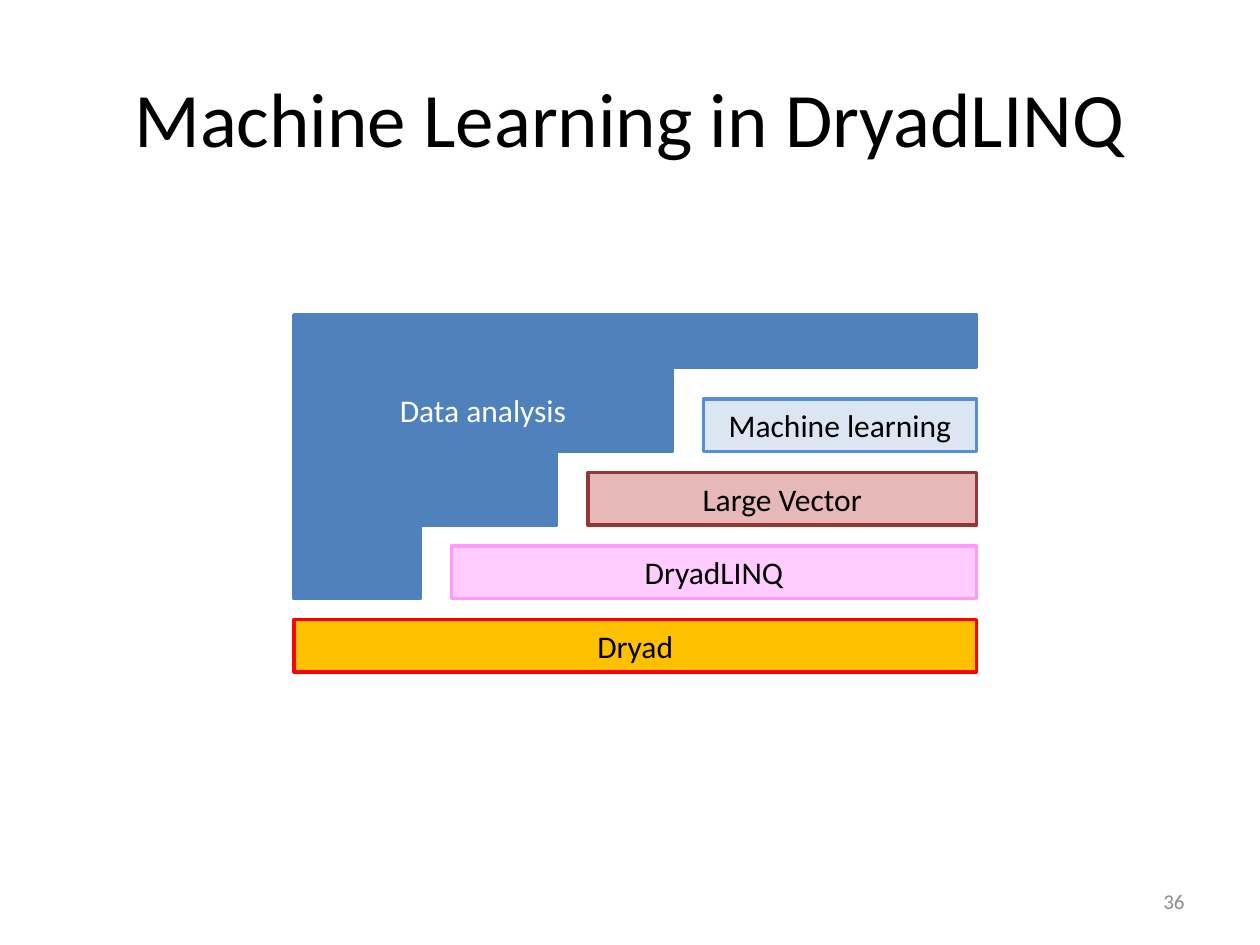
import pptx
import pptx.util
import pptx.dml.color
import pptx.enum.shapes
import pptx.enum.text

COLORS = {
    "black": "000000", "white": "FFFFFF", "gray": "8C8C8C",
    "blue": "4F81BD", "gold": "FFC000", "red": "FF0000",
    "pale_pink": "FFCCFF", "pink": "FF99FF",
    "rose": "E6B9B8", "maroon": "953735",
    "pale_blue": "DCE6F2", "sky": "558ED5",
}
ALIGN = pptx.enum.text.PP_ALIGN
COLUMNS, ROWS = 120, 90
LEFT, RIGHT = 28, 93
TOP, BAR, PITCH, GAP = 30, 5, 7, 3
FIRST_LAYER = 38

LAYERS = [
    ("Machine learning", 67, "pale_blue", "sky"),
    ("Large Vector", 56, "rose", "maroon"),
    ("DryadLINQ", 43, "pale_pink", "pink"),
    ("Dryad", LEFT, "gold", "red"),
]


class SlideBuilder:
    font = "Calibri"
    line_width = 2

    def __init__(self, presentation):
        self.cell_width = presentation.slide_width / COLUMNS
        self.cell_height = presentation.slide_height / ROWS
        self.slide = presentation.slides.add_slide(presentation.slide_layouts[6])

    def place(self, column, row, columns, rows):
        return (round(column * self.cell_width), round(row * self.cell_height),
                round(columns * self.cell_width), round(rows * self.cell_height))

    def color(self, name):
        return pptx.dml.color.RGBColor.from_string(COLORS[name])

    def set_text(self, shape, text, size, color, align):
        frame = shape.text_frame
        frame.text = text
        frame.word_wrap = True
        frame.vertical_anchor = pptx.enum.text.MSO_ANCHOR.MIDDLE
        paragraph = frame.paragraphs[0]
        paragraph.alignment = align
        for run in paragraph.runs:
            run.font.name = self.font
            run.font.size = pptx.util.Pt(size)
            run.font.color.rgb = self.color(color)

    def label(self, area, text, size, color, align):
        box = self.slide.shapes.add_textbox(*self.place(*area))
        self.set_text(box, text, size, color, align)

    def block(self, area, fill, line, text="", color="black"):
        shape = self.slide.shapes.add_shape(
            pptx.enum.shapes.MSO_SHAPE.RECTANGLE, *self.place(*area))
        shape.shadow.inherit = False
        shape.fill.solid()
        shape.fill.fore_color.rgb = self.color(fill)
        shape.line.color.rgb = self.color(line)
        shape.line.width = pptx.util.Pt(self.line_width)
        if text:
            self.set_text(shape, text, 18, color, ALIGN.CENTER)


def main():
    presentation = pptx.Presentation()
    presentation.slide_width = pptx.util.Inches(10)
    presentation.slide_height = pptx.util.Inches(7.5)
    builder = SlideBuilder(presentation)

    builder.label((6, 3.6, 108, 15), "Machine Learning in DryadLINQ", 44, "black", ALIGN.CENTER)
    builder.label((86, 83.4, 28, 4.8), "36", 12, "gray", ALIGN.RIGHT)

    builder.block((LEFT, TOP, RIGHT - LEFT, BAR), "blue", "blue")
    for index, (name, left, fill, line) in reversed(list(enumerate(LAYERS))):
        row = FIRST_LAYER + index * PITCH
        builder.block((left, row, RIGHT - left, BAR), fill, line, name)

    top = TOP + BAR
    for index, layer in enumerate(LAYERS[:-1]):
        bottom = FIRST_LAYER + index * PITCH + BAR
        width = layer[1] - GAP - LEFT
        text = "Data analysis" if index == 0 else ""
        builder.block((LEFT, top, width, bottom - top), "blue", "blue", text, "white")
        top = bottom

    presentation.save("out.pptx")


if __name__ == "__main__":
    main()
